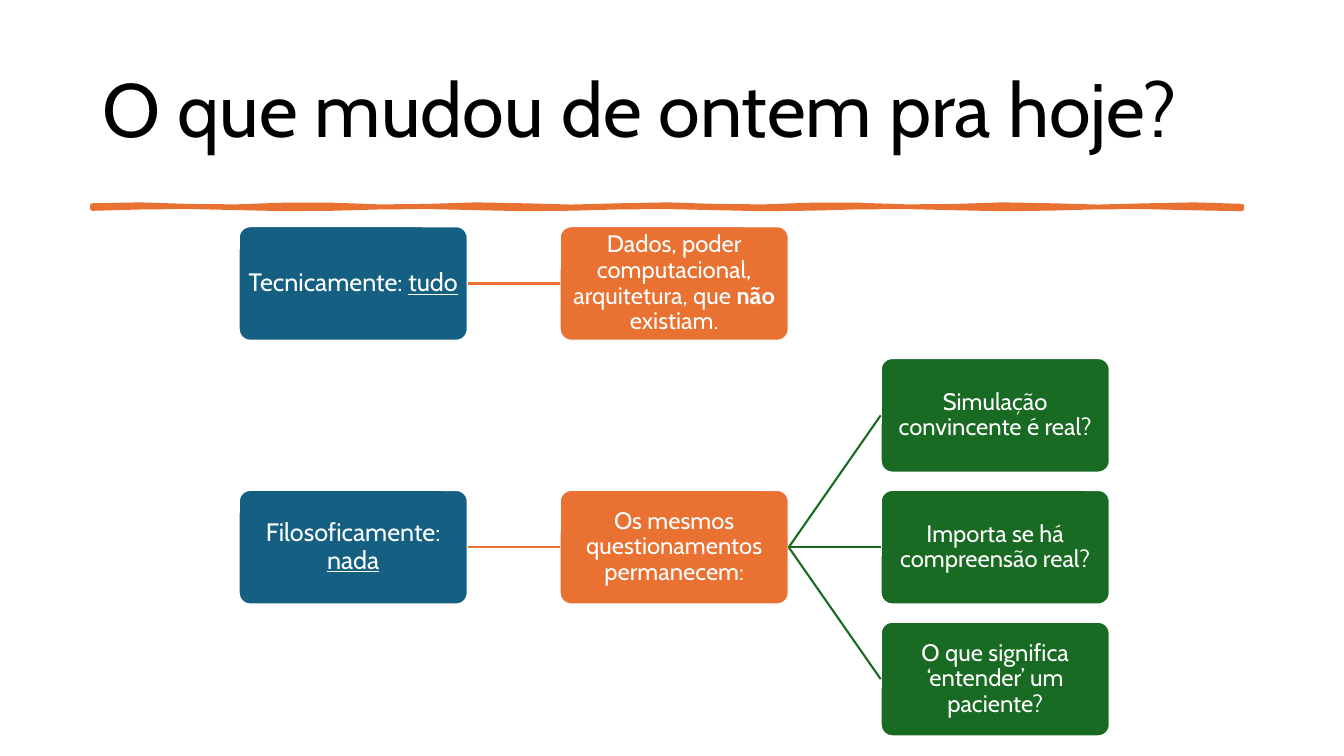
from math import sin

from lxml import etree
from pptx import Presentation
from pptx.dml.color import RGBColor
from pptx.enum.shapes import MSO_CONNECTOR, MSO_SHAPE
from pptx.enum.text import MSO_ANCHOR, MSO_AUTO_SIZE, PP_ALIGN
from pptx.oxml.ns import qn
from pptx.util import Pt

STRAIGHT = MSO_CONNECTOR.STRAIGHT
ROUND = MSO_SHAPE.ROUNDED_RECTANGLE
MIDDLE = MSO_ANCHOR.MIDDLE
FIXED = MSO_AUTO_SIZE.NONE
LEFT, CENTER = PP_ALIGN.LEFT, PP_ALIGN.CENTER

FONT = "Cabin"
COLORS = {
    "black": "000000",
    "white": "FFFFFF",
    "blue": "156082",
    "orange": "E97132",
    "green": "196B24",
}
LEVELS = [("blue", 18), ("orange", 17), ("green", 17)]

BOX_W, BOX_H = 163.6, 81.8
GRID_X, GRID_Y = 170.5, 161.6
STEP_X, STEP_Y = 229.3, 94.2


def color(name):
    return RGBColor.from_string(COLORS[name])


def style(run, size, tint):
    run.font.name = FONT
    run.font.size = Pt(size)
    run.font.color.rgb = color(tint)


def set_line(line, tint, width):
    line.color.rgb = color(tint)
    line.width = Pt(width)


def add_title(slide, text):
    title = slide.shapes.title
    title.left, title.top = Pt(66), Pt(28.75)
    title.width, title.height = Pt(828), Pt(104.4)
    frame = title.text_frame
    frame.text = text
    frame.auto_size = FIXED
    frame.word_wrap = True
    frame.vertical_anchor = MIDDLE
    para = frame.paragraphs[0]
    para.alignment = LEFT
    para.line_spacing = 0.9
    style(para.runs[0], 54, "black")


def add_rule(slide, left, right, top):
    """Draw a hand-drawn looking bar with two uneven edges."""
    count = 24
    step = (right - left) / count
    xs = [left + i * step for i in range(count + 1)]
    upper = [(x, top + 0.8 * sin(x / 20)) for x in xs]
    lower = [(x, top + 1.5 + 0.8 * sin(x / 27)) for x in reversed(xs)]
    points = [(Pt(x), Pt(y)) for x, y in upper + lower]
    builder = slide.shapes.build_freeform(*points[0])
    builder.add_line_segments(points[1:], close=True)
    rule = builder.convert_to_shape()
    rule.shadow.inherit = False
    rule.fill.solid()
    rule.fill.fore_color.rgb = color("orange")
    set_line(rule.line, "orange", 3.25)


def add_box(slide, level, row, text, mark="", tail=""):
    """Place a tree box; mark is underlined on level 0, else bold."""
    tint, size = LEVELS[level]
    box = slide.shapes.add_shape(
        ROUND, Pt(GRID_X + level * STEP_X), Pt(GRID_Y + row * STEP_Y),
        Pt(BOX_W), Pt(BOX_H))
    box.adjustments[0] = 0.1
    box.shadow.inherit = False
    box.fill.solid()
    box.fill.fore_color.rgb = color(tint)
    set_line(box.line, "white", 1.5)
    frame = box.text_frame
    frame.word_wrap = True
    frame.vertical_anchor = MIDDLE
    frame.margin_left = frame.margin_right = Pt(0.9)
    frame.margin_top = frame.margin_bottom = Pt(0.9)
    para = frame.paragraphs[0]
    para.alignment = CENTER
    para.line_spacing = 0.9
    for part in filter(None, (text, mark, tail)):
        run = para.add_run()
        run.text = part
        style(run, size, "white")
        if part == mark:
            if level == 0:
                run.font.underline = True
            else:
                run.font.bold = True
    return box


def join(slide, start, end, tint):
    link = slide.shapes.add_connector(STRAIGHT, 0, 0, 0, 0)
    link.begin_connect(start, 3)
    link.end_connect(end, 1)
    set_line(link.line, tint, 1.5)
    props = link._element.find(qn("p:spPr"))
    etree.SubElement(props, qn("a:effectLst"))


def main():
    deck = Presentation()
    deck.slide_width, deck.slide_height = Pt(960), Pt(540)
    slide = deck.slides.add_slide(deck.slide_layouts[5])
    add_title(slide, "O que mudou de ontem pra hoje?")
    add_rule(slide, 66, 887, 147)

    tech = add_box(slide, 0, 0, "Tecnicamente: ", "tudo")
    data = add_box(slide, 1, 0, "Dados, poder computacional, arquitetura, que ",
                   "não", " existiam.")
    join(slide, tech, data, "orange")

    thought = add_box(slide, 0, 2, "Filosoficamente: ", "nada")
    same = add_box(slide, 1, 2, "Os mesmos questionamentos permanecem:")
    join(slide, thought, same, "orange")

    asks = [
        "Simulação convincente é real?",
        "Importa se há compreensão real?",
        "O que significa ‘entender’ um paciente?",
    ]
    for row, ask in enumerate(asks, 1):
        join(slide, same, add_box(slide, 2, row, ask), "green")

    deck.save("out.pptx")


if __name__ == "__main__":
    main()
